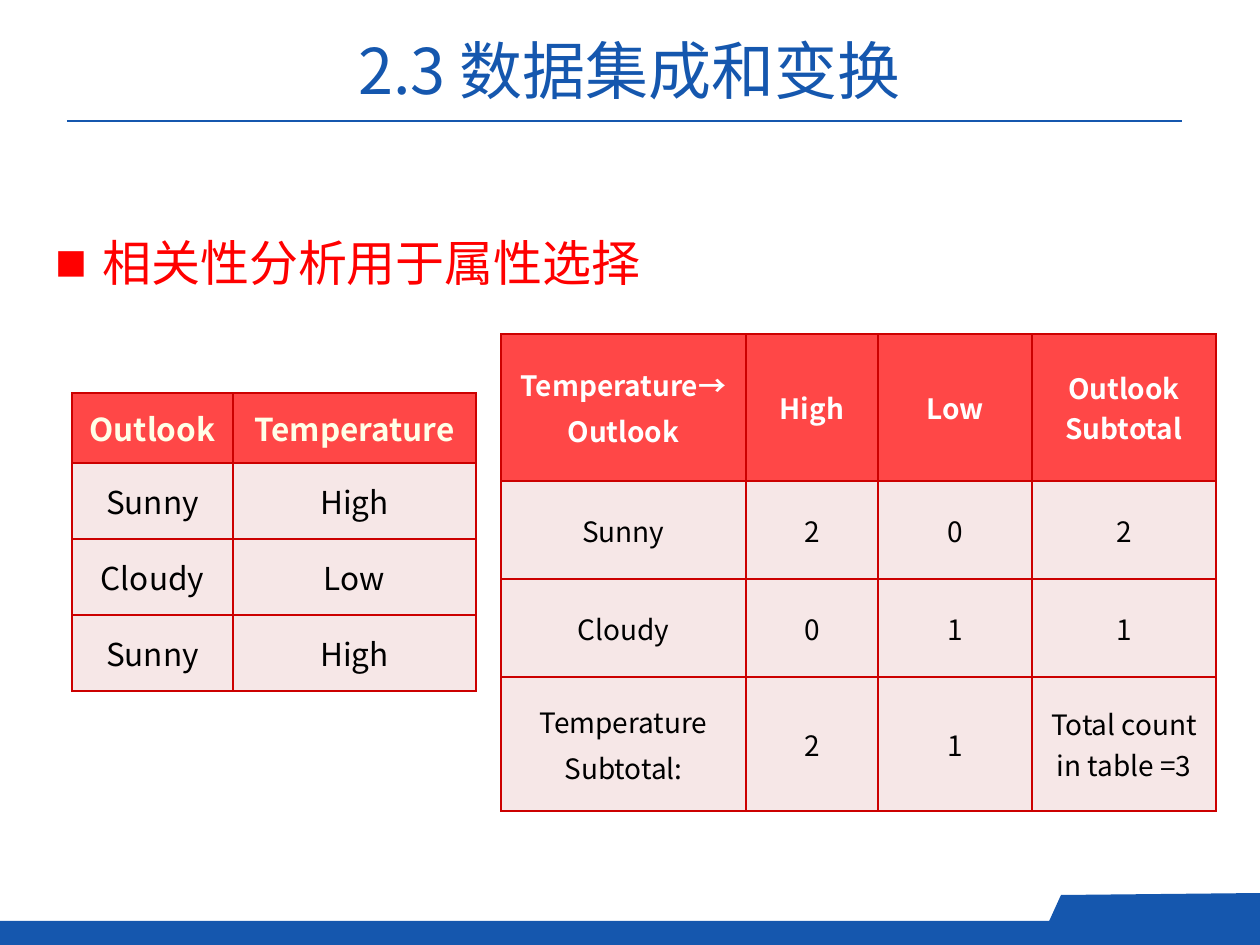
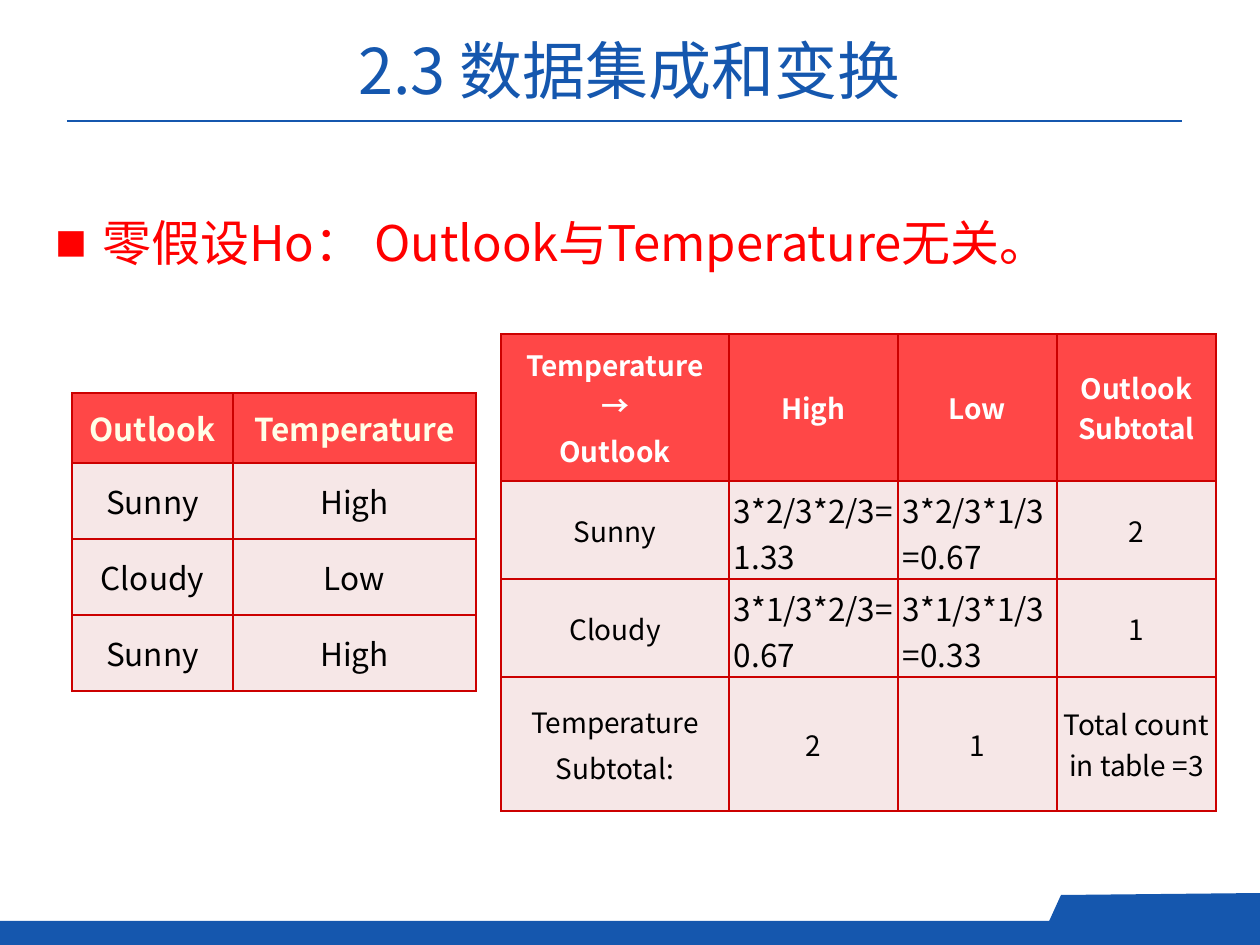
from lxml.etree import SubElement
from pptx import Presentation
from pptx.dml.color import RGBColor
from pptx.enum.shapes import MSO_CONNECTOR, MSO_SHAPE
from pptx.enum.text import MSO_ANCHOR, PP_ALIGN
from pptx.oxml.ns import qn
from pptx.util import Pt

PX = 914400 / 126
WIDTH, HEIGHT = 1260, 945
FONT = "Noto Sans CJK SC"

BLUE = RGBColor(0x15, 0x57, 0xAE)
RED = RGBColor(0xFF, 0x00, 0x00)
BORDER_RED = RGBColor(0xCC, 0x00, 0x00)
HEADER_RED = RGBColor(0xFF, 0x47, 0x47)
BODY_PINK = RGBColor(0xF6, 0xE7, 0xE7)
CREAM = RGBColor(0xFF, 0xFF, 0xE7)
WHITE = RGBColor(0xFF, 0xFF, 0xFF)
BLACK = RGBColor(0x00, 0x00, 0x00)

TITLE = "2.3 数据集成和变换"
WEATHER = [
    ["Outlook", "Temperature"],
    ["Sunny", "High"],
    ["Cloudy", "Low"],
    ["Sunny", "High"],
]
COUNT_HEADER = ["Temperature→\nOutlook", "High", "Low", "Outlook Subtotal"]
COUNT_TOTALS = ["Temperature\nSubtotal:", "2", "1", "Total count in table =3"]
OBSERVED = [
    COUNT_HEADER,
    ["Sunny", "2", "0", "2"],
    ["Cloudy", "0", "1", "1"],
    COUNT_TOTALS,
]
EXPECTED = [
    COUNT_HEADER,
    ["Sunny", "3*2/3*2/3=1.33", "3*2/3*1/3=0.67", "2"],
    ["Cloudy", "3*1/3*2/3=0.67", "3*1/3*1/3=0.33", "1"],
    COUNT_TOTALS,
]


def px(length):
    return round(length * PX)


def apply(target, formats):
    for name, value in formats.items():
        setattr(target, name, value)


def write(paragraph, text, size, color, bold=False):
    run = paragraph.add_run()
    run.text = text
    apply(run.font, {"size": Pt(size), "bold": bold, "name": FONT})
    run.font.color.rgb = color
    SubElement(run.font._element, qn("a:ea"), typeface=FONT)


def paint_blue(shape):
    shape.shadow.inherit = False
    shape.fill.solid()
    shape.fill.fore_color.rgb = BLUE
    shape.line.fill.background()


def add_text_frame(slide, left, top, width, height, anchor):
    box = slide.shapes.add_textbox(*map(px, (left, top, width, height)))
    apply(box.text_frame, {"word_wrap": True, "vertical_anchor": anchor})
    return box.text_frame


def add_title(slide):
    heading = add_text_frame(slide, 107, 16, 1045, 97, MSO_ANCHOR.BOTTOM).paragraphs[0]
    heading.alignment = PP_ALIGN.CENTER
    write(heading, TITLE, 36, BLUE)

    rule = slide.shapes.add_connector(
        MSO_CONNECTOR.STRAIGHT, px(67), px(121), px(1182), px(121))
    rule.line.color.rgb = BLUE
    rule.line.width = Pt(1.5)
    SubElement(rule._element.spPr, qn("a:effectLst"))


def add_footer(slide):
    band_top = 921
    band = slide.shapes.add_shape(
        MSO_SHAPE.RECTANGLE, 0, px(band_top), px(WIDTH), px(HEIGHT - band_top))
    paint_blue(band)

    outline = slide.shapes.build_freeform(WIDTH, 939, scale=PX)
    outline.add_line_segments([(WIDTH, 893), (1061, 895), (1041, 939)], close=True)
    paint_blue(outline.convert_to_shape())


def add_bullet(slide, top, text):
    frame = add_text_frame(slide, 43, top, 1172, 100, MSO_ANCHOR.TOP)
    point = frame.paragraphs[0]
    properties = point._p.get_or_add_pPr()
    properties.set("marL", str(px(47)))
    properties.set("indent", str(-px(47)))
    SubElement(properties, qn("a:buSzPct"), val="65000")
    SubElement(properties, qn("a:buFont"), typeface=FONT)
    SubElement(properties, qn("a:buChar"), char="■")
    point.line_spacing = 1.2
    write(point, text, 28, RED)


def add_borders(cell):
    properties = cell._tc.get_or_add_tcPr()
    for side in ("lnL", "lnR", "lnT", "lnB"):
        line = SubElement(properties, qn(f"a:{side}"), w=str(Pt(1)))
        fill = SubElement(line, qn("a:solidFill"))
        SubElement(fill, qn("a:srgbClr"), val=str(BORDER_RED))


def fill_cell(cell, text, background, color, size, bold, side_margin):
    add_borders(cell)
    cell.fill.solid()
    cell.fill.fore_color.rgb = background
    apply(cell, {
        "vertical_anchor": MSO_ANCHOR.MIDDLE,
        "margin_left": px(side_margin), "margin_right": px(side_margin),
        "margin_top": px(6), "margin_bottom": px(6),
    })
    is_formula = "*" in text
    if is_formula:
        size = 18
    for index, line in enumerate(text.split("\n")):
        if index:
            paragraph = cell.text_frame.add_paragraph()
            paragraph.space_before = Pt(size * 0.2)
        else:
            paragraph = cell.text_frame.paragraphs[0]
        paragraph.alignment = PP_ALIGN.LEFT if is_formula else PP_ALIGN.CENTER
        write(paragraph, line, size, color, bold)


def add_grid(slide, left, top, widths, heights, rows, size, header_color, body_margin=13):
    grid = slide.shapes.add_table(
        len(rows), len(widths), px(left), px(top),
        px(sum(widths)), px(sum(heights))).table
    for column, width in zip(grid.columns, widths):
        column.width = px(width)
    for row, height in zip(grid.rows, heights):
        row.height = px(height)
    for r, texts in enumerate(rows):
        if r == 0:
            look = (HEADER_RED, header_color, size, True, 13)
        else:
            look = (BODY_PINK, BLACK, size, False, body_margin)
        for c, text in enumerate(texts):
            fill_cell(grid.cell(r, c), text, *look)


def add_correlation_slide(deck, bullet_top, bullet, counts, count_widths, body_margin):
    slide = deck.slides.add_slide(deck.slide_layouts[6])
    add_footer(slide)
    add_bullet(slide, bullet_top, bullet)
    add_grid(slide, 72, 393, [161, 243], [70, 76, 76, 76], WEATHER, 18, CREAM)
    add_grid(slide, 501, 334, count_widths, [147, 98, 98, 134], counts, 16, WHITE,
             body_margin)
    add_title(slide)


def main():
    deck = Presentation()
    apply(deck, {"slide_width": px(WIDTH), "slide_height": px(HEIGHT)})
    add_correlation_slide(deck, 215, "相关性分析用于属性选择",
                          OBSERVED, [245, 132, 154, 184], 13)
    add_correlation_slide(deck, 195, "零假设Ho： Outlook与Temperature无关。",
                          EXPECTED, [228, 169, 159, 159], 5)
    deck.save("out.pptx")


if __name__ == "__main__":
    main()
